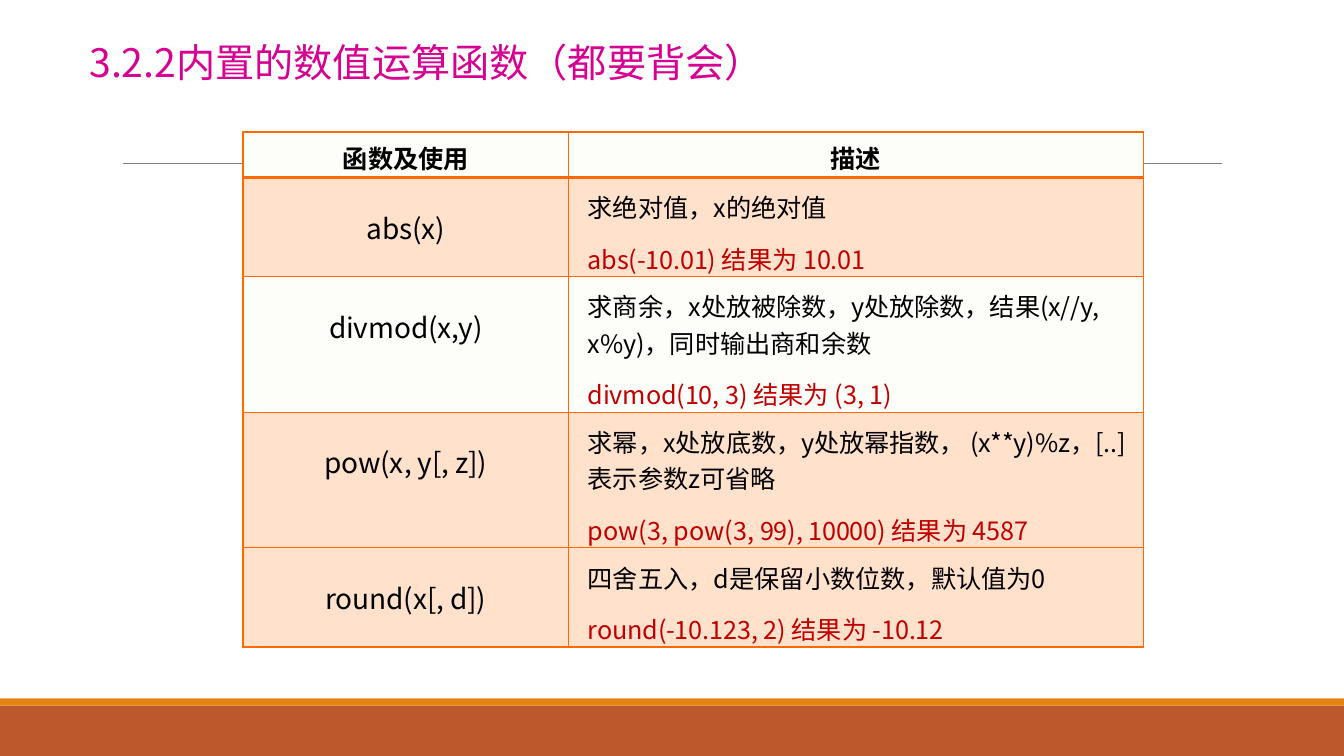
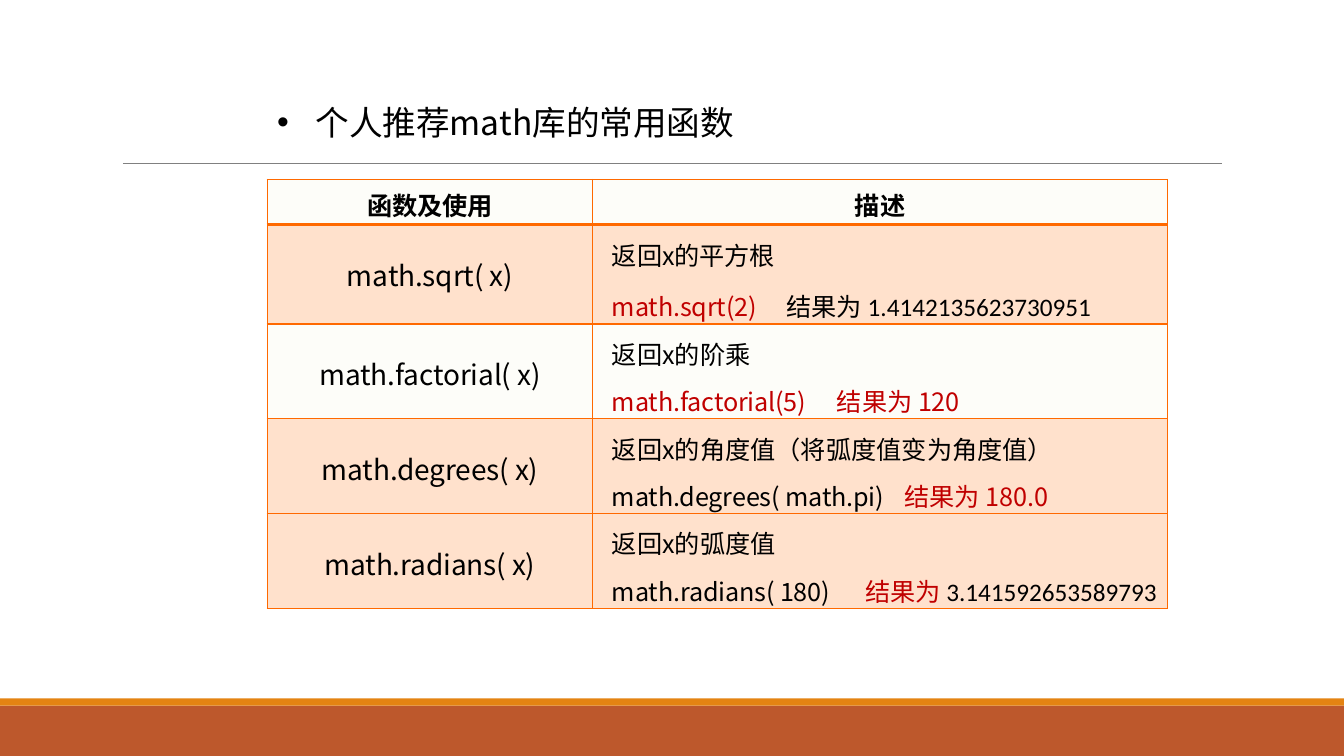
"""Build two slides that tabulate Python's numeric functions."""
from dataclasses import dataclass

from lxml.etree import SubElement
from pptx import Presentation
from pptx.dml.color import RGBColor
from pptx.enum.shapes import MSO_CONNECTOR as Connector, MSO_SHAPE as Shape
from pptx.enum.text import MSO_ANCHOR as Anchor, MSO_AUTO_SIZE as AutoSize, PP_ALIGN as Align
from pptx.oxml import parse_xml
from pptx.oxml.ns import nsdecls, qn
from pptx.util import Emu, Pt


@dataclass(frozen=True)
class Theme:
    band: str = "BD582C"
    stripe: str = "E48312"
    rule: str = "808080"
    border: str = "FF6900"
    plain: str = "FDFDF9"
    title: str = "D60093"
    ink: str = "000000"
    accent: str = "C00000"
    font: str = "Noto Sans CJK SC"
    digit_font: str = "Calibri"
    title_size: int = 28
    lead_size: int = 24
    name_size: int = 20
    body_size: int = 18
    thin: float = 1
    thick: float = 2.25
    tint_alpha: int = 20000


THEME = Theme()
PX = 9144
PAGE = (1333, 750)
BANDS = [(700, 50, THEME.band), (693, 7, THEME.stripe)]
RULE = (122, 1212, 162)
COLUMNS = (323, 570)
HEADER_HEIGHT, ROW_HEIGHT = 45, 94
HEADER_INSET, NAME_INSET, BODY_INSET, BODY_INDENT = 7, 29, 11, 19
PLAIN_ROWS = {0, 2}

WORD = {}
CODE = {"tight": True}
RED = {"color": THEME.accent}
RED_CODE = {"color": THEME.accent, "tight": True}
DIGITS = {"font": THEME.digit_font}

HEADINGS = ("函数及使用", "描述")
TITLE = "3.2.2内置的数值运算函数（都要背会）"
LEAD = "个人推荐math库的常用函数"

BUILT_INS = {
    "origin": (241, 131),
    "rows": [
        ("abs(x)", [("求绝对值，x的绝对值", WORD)],
         [("abs(-10.01) ", RED_CODE), ("结果为 ", RED), ("10.01", RED_CODE)], 10.8, None),
        ("divmod(x,y)",
         [("求商余", WORD), ("，x处放被除数，y处放除数，结果(x//y, x%y)，", CODE),
          ("同时输出商和余数", WORD)],
         [("divmod(10, ", RED_CODE), ("3) 结果为 (3, 1)", RED)], 10.8, None),
        ("pow(x, y[, z])",
         [("求幂", WORD), ("，x处放底数，y处放幂指数， (x**y)%z，[..]", CODE),
          ("表示参数z可省略", WORD)],
         [("pow(3, pow(3, ", RED), ("99), 10000) ", RED_CODE), ("结果为 4587", RED)], 10.8, None),
        ("round(x[, d])", [("四舍五入，d是保留小数位数，默认值为0", WORD)],
         [("round(-10.123, ", RED_CODE), ("2) 结果为", RED), (" -10.12", RED_CODE)], 10.8, None),
    ],
}
MATH_LIBRARY = {
    "origin": (265, 178),
    "rows": [
        ("math.sqrt( x)", [("返回x的平方根", CODE)],
         [("math.sqrt(2)\t", RED_CODE), ("结果为 ", WORD), ("1.4142135623730951", DIGITS)],
         10.8, 173),
        ("math.factorial( x)", [("返回x的阶乘", WORD)],
         [("math.factorial(5)\t", RED_CODE), ("结果为 ", RED), ("120", RED_CODE)], 7.7, 223),
        ("math.degrees( x)", [("返回x的角度值（将弧度值变为角度值）", WORD)],
         [("math.degrees( math.pi)\t", CODE), ("结果为 180.0", RED)], 7.7, 290),
        ("math.radians( x)", [("返回x的弧度值", WORD)],
         [("math.radians( 180)\t", CODE), ("结果为 ", RED), ("3.141592653589793", DIGITS)],
         7.7, 251),
    ],
}


def px(*lengths):
    return [Emu(length * PX) for length in lengths]


def rgb(color):
    return RGBColor.from_string(color)


def add_span(para, text, size, color=THEME.ink, font=THEME.font, bold=False, tight=False):
    span = para.add_run()
    span.text = text
    span.font.size = Pt(size)
    span.font.bold = bold
    span.font.name = font
    span.font.color.rgb = rgb(color)
    properties = span.font._element
    SubElement(properties, qn("a:ea")).set("typeface", font)
    if tight:
        properties.set("spc", "-10")


def add_page(deck):
    page = deck.slides.add_slide(deck.slide_layouts[6])
    for top, height, color in BANDS:
        band = page.shapes.add_shape(Shape.RECTANGLE, *px(0, top, PAGE[0], height))
        band.shadow.inherit = False
        band.fill.solid()
        band.fill.fore_color.rgb = rgb(color)
        band.line.fill.background()
    left, right, y = RULE
    rule = page.shapes.add_connector(Connector.STRAIGHT, *px(left, y, right, y))
    rule.line.color.rgb = rgb(THEME.rule)
    rule.line.width = Pt(0.5)
    SubElement(rule._element.spPr, qn("a:effectLst"))
    return page


def add_box(page, *place):
    box = page.shapes.add_textbox(*px(*place))
    frame = box.text_frame
    frame.word_wrap = True
    frame.auto_size = AutoSize.SHAPE_TO_FIT_TEXT
    return frame


def style_cell(cell, row, inset, indent=0):
    cell.margin_left, cell.margin_top, cell.margin_right, cell.margin_bottom = px(indent, inset, 0, 0)
    cell.fill.solid()
    cell.fill.fore_color.rgb = rgb(THEME.plain if row in PLAIN_ROWS else THEME.border)
    properties = cell._tc.get_or_add_tcPr()
    if row not in PLAIN_ROWS:
        color = properties.find(".//" + qn("a:srgbClr"))
        SubElement(color, qn("a:alpha")).set("val", str(THEME.tint_alpha))
    thick_sides = {0: "B", 1: "T"}
    for position, side in enumerate("LRTB"):
        width = THEME.thick if thick_sides.get(row) == side else THEME.thin
        properties.insert(position, parse_xml(
            f'<a:ln{side} {nsdecls("a")} w="{int(Pt(width))}"><a:solidFill>'
            f'<a:srgbClr val="{THEME.border}"/></a:solidFill></a:ln{side}>'))


def fill_label(cell, row, text, size, inset, bold=False):
    style_cell(cell, row, inset)
    para = cell.text_frame.paragraphs[0]
    para.alignment = Align.CENTER
    add_span(para, text, size, bold=bold, tight=not bold)


def fill_description(cell, row, summary, example, gap, tab):
    style_cell(cell, row, BODY_INSET, BODY_INDENT)
    first = cell.text_frame.paragraphs[0]
    second = cell.text_frame.add_paragraph()
    if tab:
        tabs = SubElement(second._p.get_or_add_pPr(), qn("a:tabLst"))
        stop = SubElement(tabs, qn("a:tab"))
        stop.set("pos", str(tab * PX))
        stop.set("algn", "l")
    second.space_before = Pt(gap)
    for para, spans in ((first, summary), (second, example)):
        for text, style in spans:
            add_span(para, text, THEME.body_size, **style)


def add_function_table(page, origin, rows):
    height = HEADER_HEIGHT + ROW_HEIGHT * len(rows)
    table = page.shapes.add_table(
        len(rows) + 1, len(COLUMNS), *px(*origin, sum(COLUMNS), height)).table
    table.first_row = table.horz_banding = False
    for column, width in zip(table.columns, px(*COLUMNS)):
        column.width = width
    heights = [HEADER_HEIGHT] + [ROW_HEIGHT] * len(rows)
    for table_row, row_height in zip(table.rows, px(*heights)):
        table_row.height = row_height
    for column, heading in enumerate(HEADINGS):
        fill_label(table.cell(0, column), 0, heading, THEME.body_size, HEADER_INSET, bold=True)
    for row, (name, *description) in enumerate(rows, 1):
        fill_label(table.cell(row, 0), row, name, THEME.name_size, NAME_INSET)
        fill_description(table.cell(row, 1), row, *description)


def add_title(page):
    frame = add_box(page, 37, 36, 772, 49)
    frame.margin_left, frame.margin_top, frame.margin_right, frame.margin_bottom = px(0, 1, 0, 0)
    frame.vertical_anchor = Anchor.MIDDLE
    para = frame.paragraphs[0]
    para.alignment = Align.CENTER
    add_span(para, TITLE, THEME.title_size, THEME.title)


def add_lead(page):
    para = add_box(page, 265, 76, 858, 71).paragraphs[0]
    properties = para._p.get_or_add_pPr()
    properties.set("marL", str(38 * PX))
    properties.set("indent", str(-38 * PX))
    SubElement(properties, qn("a:buFont")).set("typeface", "Arial")
    SubElement(properties, qn("a:buChar")).set("char", "•")
    para.line_spacing = 1.5
    add_span(para, LEAD, THEME.lead_size)


def main():
    deck = Presentation()
    deck.slide_width, deck.slide_height = px(*PAGE)
    for content, add_heading in ((BUILT_INS, add_title), (MATH_LIBRARY, add_lead)):
        page = add_page(deck)
        add_function_table(page, **content)
        add_heading(page)
    deck.save("out.pptx")


if __name__ == "__main__":
    main()
